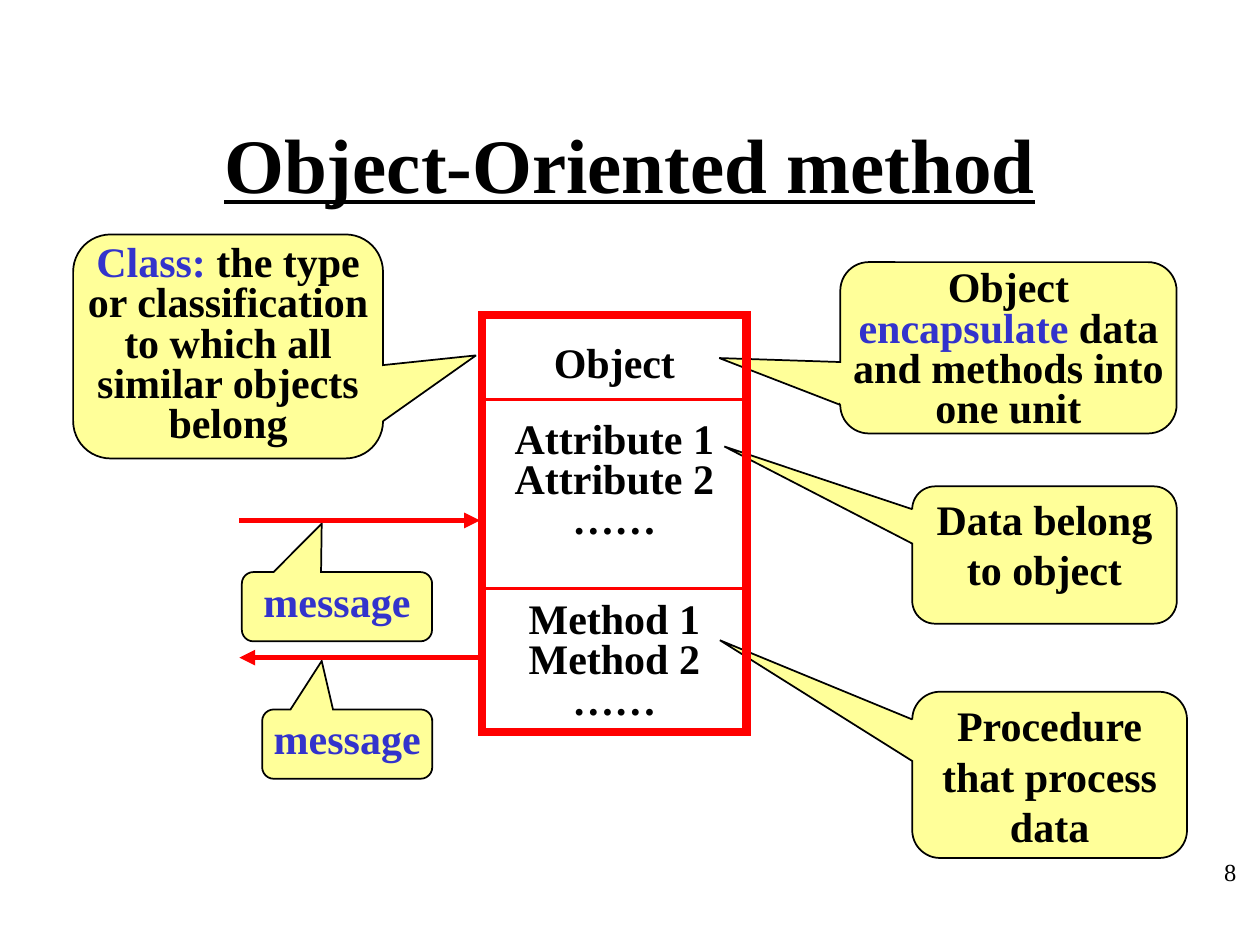
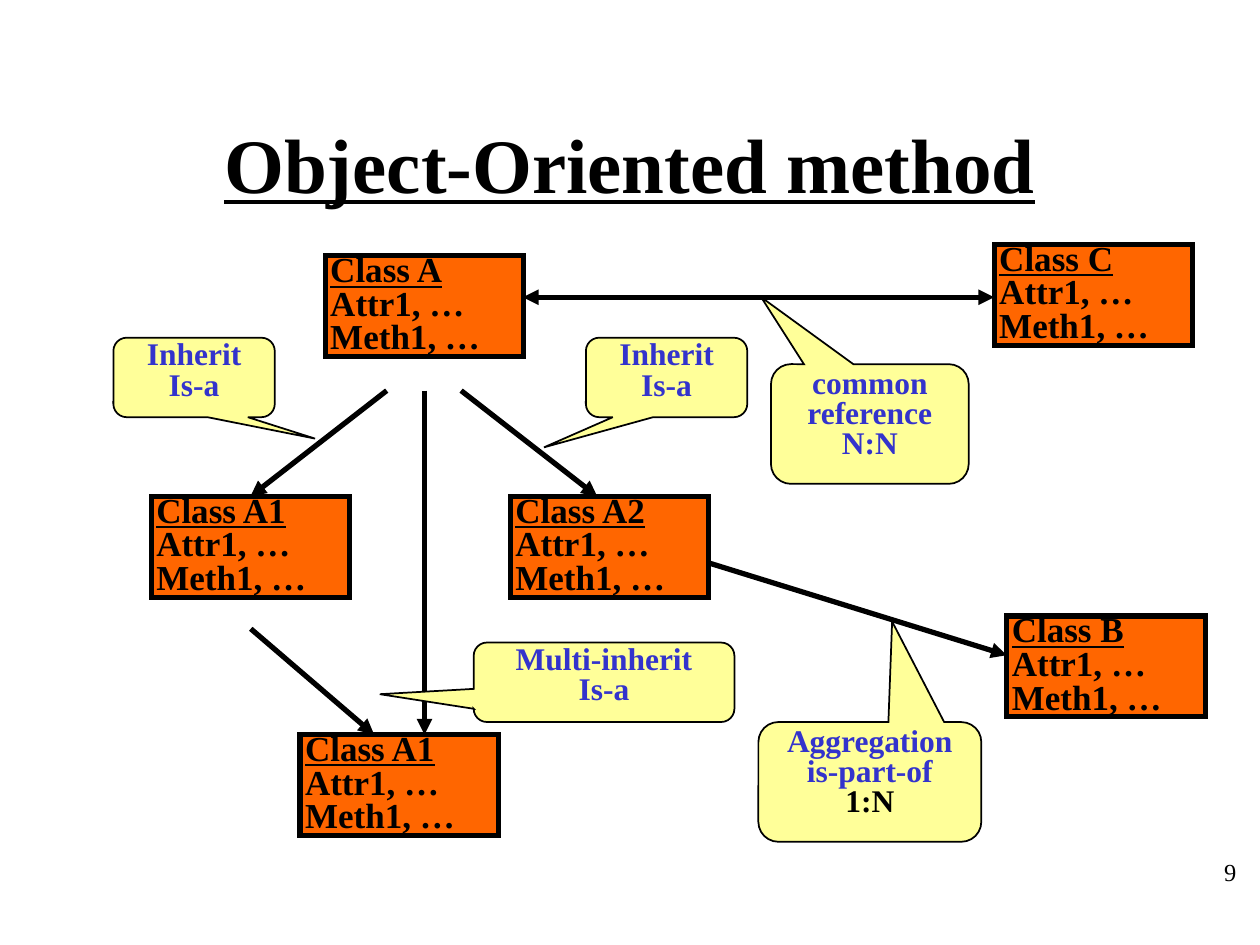
from pptx import Presentation
from pptx.dml.color import RGBColor
from pptx.enum import shapes as kinds, text as layout
from pptx.oxml import ns
from pptx.util import Pt
from lxml import etree

BLACK = RGBColor(0x00, 0x00, 0x00)
BLUE = RGBColor(0x33, 0x33, 0xCC)
RED = RGBColor(0xFF, 0x00, 0x00)
YELLOW = RGBColor(0xFF, 0xFF, 0x99)
ORANGE = RGBColor(0xFF, 0x66, 0x00)

FONT = "Times New Roman"
TITLE = "Object-Oriented method"
TITLE_BOX = (54, 48, 612, 90)
NUMBER_BOX = (563.8, 486, 149.8, 36)
CLASS_SIZE = (113.4, 57.6)
CENTER = layout.PP_ALIGN.CENTER
CORNER = 0.167
TIGHT = 0.8


def points(values):
    """Convert numbers to lengths in points."""
    return [Pt(value) for value in values]


def set_values(target, values):
    """Set each attribute of target named in values."""
    for name, value in values.items():
        setattr(target, name, value)


def write(frame, paragraphs, size, align=CENTER, spacing=None, margins=(0, 0),
          anchor=layout.MSO_ANCHOR.TOP, bold=True):
    """Fill a frame with paragraphs, each a list of (text, color, underline) runs."""
    side, top = points(margins)
    set_values(frame, {"word_wrap": True, "auto_size": layout.MSO_AUTO_SIZE.NONE,
                       "vertical_anchor": anchor, "margin_left": side,
                       "margin_right": side, "margin_top": top, "margin_bottom": top})
    for index, runs in enumerate(paragraphs):
        paragraph = frame.add_paragraph() if index else frame.paragraphs[0]
        set_values(paragraph, {"alignment": align, "line_spacing": spacing})
        for wording, color, underline in runs:
            run = paragraph.add_run()
            run.text = wording
            set_values(run.font, {"name": FONT, "size": Pt(size), "bold": bold,
                                  "underline": underline})
            run.font.color.rgb = color


def lines(*wordings, color=BLACK):
    """Make one plain paragraph of each wording."""
    return [[(wording, color, False)] for wording in wordings]


def add_page(deck, number):
    """Add a slide with the shared title and its slide number."""
    slide = deck.slides.add_slide(deck.slide_layouts[5])
    title = slide.shapes.title
    set_values(title, dict(zip(("left", "top", "width", "height"), points(TITLE_BOX))))
    write(title.text_frame, [[(TITLE, BLACK, True)]], 44, margins=(7.2, 3.6),
          anchor=layout.MSO_ANCHOR.MIDDLE)
    add_label(slide, NUMBER_BOX, lines(str(number)), 14, align=layout.PP_ALIGN.RIGHT,
              margins=(7.2, 3.6), bold=False)
    return slide


def add_label(slide, box, paragraphs, size, **options):
    """Add a text box."""
    label = slide.shapes.add_textbox(*points(box))
    write(label.text_frame, paragraphs, size, **options)


def add_outlined(slide, kind, box, fill, color, width):
    """Add a flat, sharp-cornered preset shape; a fill of None leaves it hollow."""
    outlined = slide.shapes.add_shape(kind, *points(box))
    outlined.shadow.inherit = False
    if fill is None:
        outlined.fill.background()
    else:
        outlined.fill.solid()
        outlined.fill.fore_color.rgb = fill
    outlined.line.color.rgb = color
    outlined.line.width = Pt(width)
    etree.SubElement(outlined.line._ln, ns.qn("a:miter"), lim="800000")
    return outlined


def add_callout(slide, box, tip, paragraphs, size=24, spacing=None):
    """Add a yellow callout; tip is the offset from its centre in widths and heights."""
    callout = add_outlined(slide, kinds.MSO_SHAPE.ROUNDED_RECTANGULAR_CALLOUT,
                           box, YELLOW, BLACK, 1)
    for index, value in enumerate((*tip, CORNER)):
        callout.adjustments[index] = value
    write(callout.text_frame, paragraphs, size, spacing=spacing)


def add_class(slide, name, left, top):
    """Add a class box with its underlined name, attributes and methods."""
    box = add_outlined(slide, kinds.MSO_SHAPE.RECTANGLE, (left, top, *CLASS_SIZE),
                       ORANGE, BLACK, 3)
    write(box.text_frame, [[(name, BLACK, True)], *lines("Attr1, …", "Meth1, …")], 20,
          align=layout.PP_ALIGN.LEFT, spacing=TIGHT, margins=(2.9, 0))
    return box


def add_line(slide, ends, color, width, arrows=("tailEnd",)):
    """Add a straight line with triangle heads at the named ends."""
    line = slide.shapes.add_connector(kinds.MSO_CONNECTOR.STRAIGHT, *points(ends))
    line.line.color.rgb = color
    line.line.width = Pt(width)
    for end in arrows:
        etree.SubElement(line.line._ln, ns.qn(f"a:{end}"), type="triangle")
    etree.SubElement(line._element.spPr, ns.qn("a:effectLst"))
    return line


def build_object_slide(deck):
    """Show an object with its attributes, methods and messages."""
    slide = add_page(deck, 8)
    encapsulation = [[("Object ", BLACK, False), ("encapsulate", BLUE, False),
                      (" data and methods into one unit", BLACK, False)]]
    class_meaning = [[("Class:", BLUE, False),
                      (" the type or classification to which all similar objects belong",
                       BLACK, False)]]
    message = lines("message", color=BLUE)
    for box, tip, paragraphs, spacing in (
            ((521.3, 277.9, 151.2, 78.5), (-1.21, -0.79), lines("Data belong to object"), None),
            ((521.3, 395.3, 157, 95), (-1.2, -0.81), lines("Procedure that process data"), None),
            ((480.2, 149.8, 192.2, 97.9), (-0.86, 0.06), encapsulation, TIGHT),
            ((41.8, 134, 177.1, 128), (0.8, 0.04), class_meaning, TIGHT),
            ((149.8, 405.4, 97.2, 39.6), (-0.15, -1.2), message, None),
            ((138.2, 326.9, 108.7, 39.6), (-0.08, -1.2), message, None)):
        add_callout(slide, box, tip, paragraphs, spacing=spacing)

    outside, edge = 136.8, 274.3
    add_line(slide, (outside, 297.4, edge, 297.4), RED, 3)
    add_line(slide, (edge, 375.8, outside, 375.8), RED, 3)

    left, width = 275.5, 151.2
    for top, height, wordings, spacing in (
            (192.2, 28.8, ("Object",), None),
            (241.2, 69.1, ("Attribute 1", "Attribute 2", "……"), TIGHT),
            (344.2, 69.1, ("Method 1", "Method 2", "……"), TIGHT)):
        add_label(slide, (left, top, width, height), lines(*wordings), 24,
                  spacing=spacing, margins=(2.9, 0))
    add_outlined(slide, kinds.MSO_SHAPE.RECTANGLE, (left, 180, width, 238.3), None, RED, 5)
    for divider in (228.2, 336.2):
        add_line(slide, (left, divider, left + width, divider), RED, 2, arrows=())


def build_class_slide(deck):
    """Show inheritance, reference and aggregation between classes."""
    slide = add_page(deck, 9)
    low, bottom = 283.7, 419.8
    add_class(slide, "Class A", 185.8, 146.2)
    first_child = add_class(slide, "Class A1", 86.4, low)
    add_class(slide, "Class A2", 291.6, low)
    add_class(slide, "Class A1", 171.4, bottom)
    add_class(slide, "Class B", 575.3, 352.1)
    add_class(slide, "Class C", 568.1, 139.7)

    under_parent = 223.2
    inherit_first = add_line(slide, (221, under_parent, 143.1, low), BLACK, 3)
    inherit_first.end_connect(first_child, 0)
    for ends in ((263.5, under_parent, 341.3, low),
                 (143.3, 359.3, 213.8, bottom),
                 (242.6, under_parent, 242.6, bottom),
                 (405.4, 321.8, 575.3, 374.4)):
        add_line(slide, ends, BLACK, 3)
    add_line(slide, (298.8, 169.9, 568.1, 169.9), BLACK, 3, arrows=("headEnd", "tailEnd"))

    inherit = lines("Inherit", "Is-a", color=BLUE)
    aggregation = lines("Aggregation", "is-part-of", color=BLUE) + lines("1:N")
    for box, tip, paragraphs in (
            ((64.8, 193, 92.2, 45.4), (0.75, 0.77), inherit),
            ((334.8, 193, 92.2, 45.4), (-0.76, 0.88), inherit),
            ((270.7, 367.2, 149, 45.4), (-0.86, 0.15),
             lines("Multi-inherit", "Is-a", color=BLUE)),
            ((433.4, 412.6, 127.4, 68.4), (0.1, -1.34), aggregation),
            ((440.6, 208.1, 113, 68.4), (-0.55, -1.06),
             lines("common reference", "N:N", color=BLUE))):
        add_callout(slide, box, tip, paragraphs, size=18, spacing=TIGHT)


def main():
    """Build and save the deck."""
    deck = Presentation()
    deck.slide_width, deck.slide_height = points((720, 540))
    build_object_slide(deck)
    build_class_slide(deck)
    deck.save("out.pptx")


if __name__ == "__main__":
    main()
